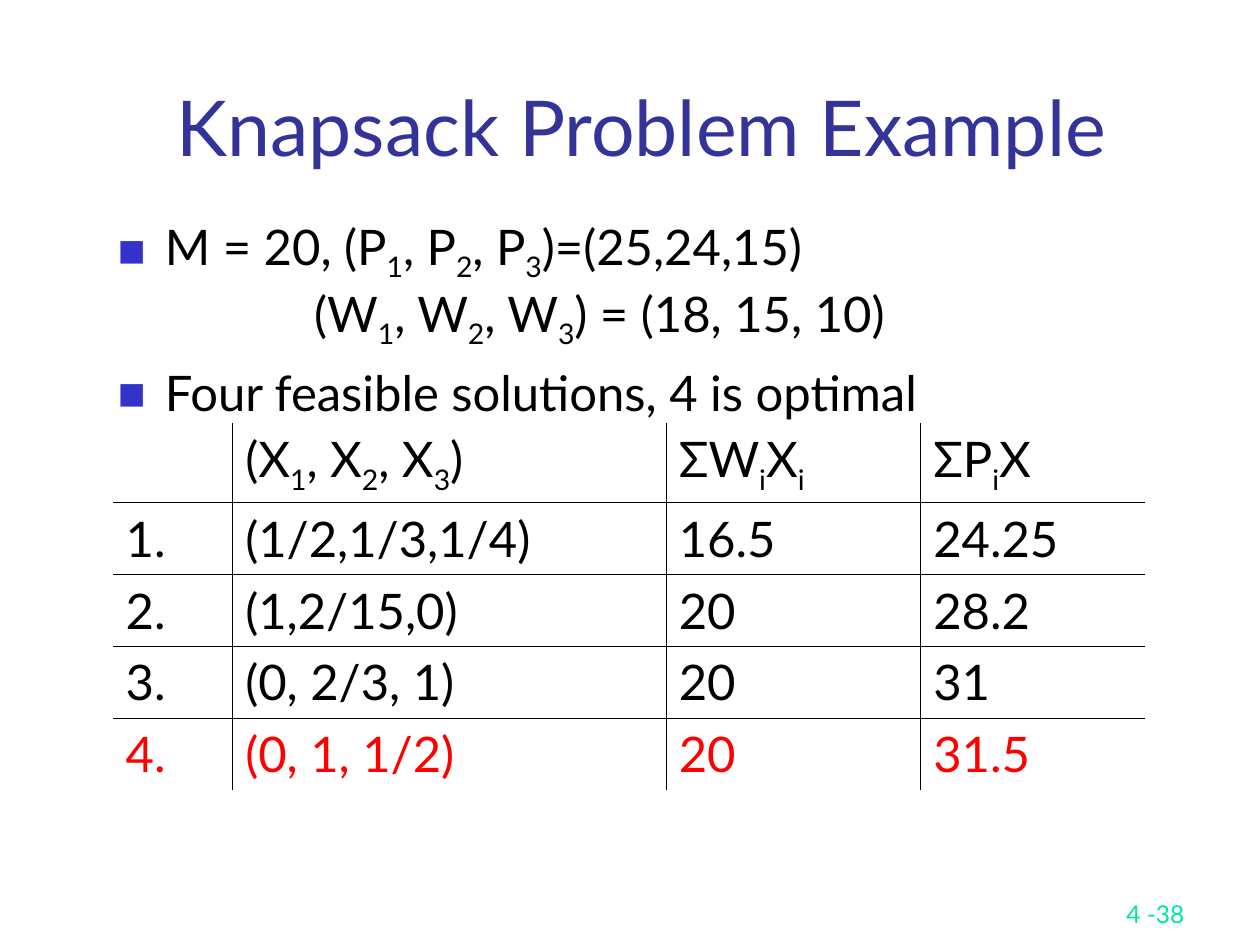
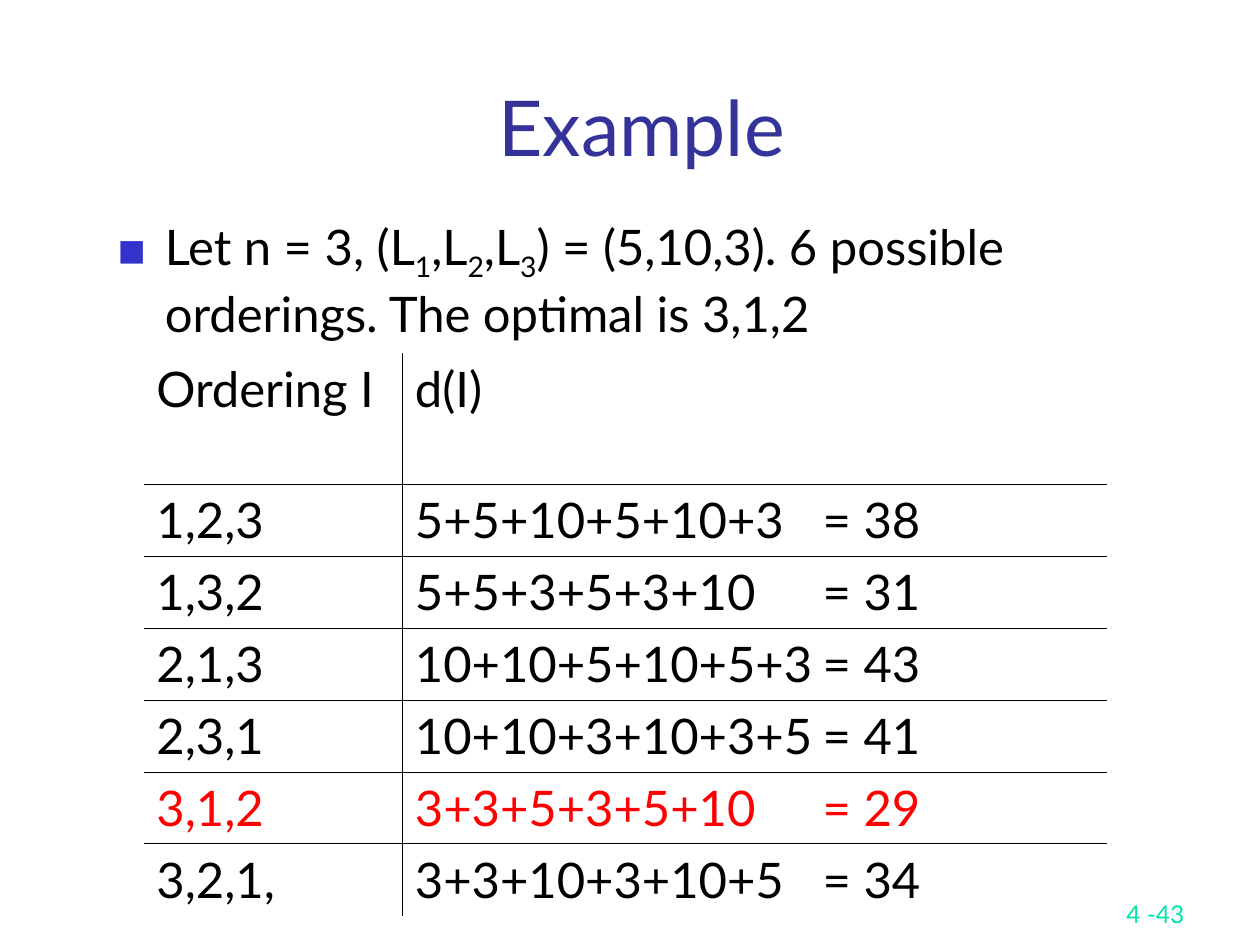
from lxml import etree
from pptx import Presentation
from pptx.dml.color import RGBColor
from pptx.enum.text import MSO_ANCHOR, MSO_AUTO_SIZE, PP_ALIGN
from pptx.oxml.ns import qn
from pptx.util import Cm, Pt

BOTTOM, TOP = MSO_ANCHOR.BOTTOM, MSO_ANCHOR.TOP
CENTER, LEFT, RIGHT = PP_ALIGN.CENTER, PP_ALIGN.LEFT, PP_ALIGN.RIGHT
NO_FIT = MSO_AUTO_SIZE.NONE

FONT = "Lato"
NAVY, BULLET_BLUE, MINT = "333399", "3333CC", "00E4A8"
BLACK, WHITE, RED = "000000", "FFFFFF", "FF0000"
TITLE_SIZE, TEXT_SIZE, NUMBER_SIZE = 44, 28, 14
PARAGRAPH_GAP = Pt(7)
BORDER_WIDTH = Pt(0.45)
BULLET_INDENT = Cm(0.95)
ROW_HEIGHT = 1.45


def rgb(color):
    return RGBColor.from_string(color)


def child(parent, tag, **attributes):
    return etree.SubElement(parent, qn(tag), {k: str(v) for k, v in attributes.items()})


class Deck:
    """Holds the shared style and the slide being built."""

    def __init__(self):
        self.prs = Presentation()
        self.prs.slide_width, self.prs.slide_height = Cm(25.4), Cm(19.05)
        self.slide = None

    def new_slide(self, title, number):
        self.slide = self.prs.slides.add_slide(self.prs.slide_layouts[1])
        # Title
        heading = self.slide.shapes.title
        paragraph = self.frame(heading, (2.12, 1.06, 21.64, 2.54), BOTTOM)
        paragraph.alignment = CENTER
        self.add_runs(paragraph, title, TITLE_SIZE, NAVY)
        # Slide number
        corner = self.slide.shapes.add_textbox(0, 0, 0, 0)
        paragraph = self.frame(corner, (18.84, 17.57, 5.29, 1.27), BOTTOM)
        paragraph.alignment = RIGHT
        self.add_runs(paragraph, number, NUMBER_SIZE, MINT)

    def frame(self, shape, place, anchor):
        """Place a text shape and return its first paragraph."""
        shape.left, shape.top, shape.width, shape.height = map(Cm, place)
        text = shape.text_frame
        text.word_wrap, text.auto_size = True, NO_FIT
        text.vertical_anchor = anchor
        return text.paragraphs[0]

    def add_runs(self, paragraph, text, size=TEXT_SIZE, color=BLACK):
        """Add runs; the character after each underscore is a subscript."""
        first, *rest = text.split("_")
        pieces = [(first, False)]
        for part in rest:
            pieces += [(part[0], True), (part[1:], False)]
        for piece, lowered in pieces:
            if not piece:
                continue
            run = paragraph.add_run()
            run.text = piece
            run.font.name, run.font.size = FONT, Pt(size)
            run.font.color.rgb = rgb(color)
            if lowered:
                run._r.get_or_add_rPr().set("baseline", "-25000")

    def bullets(self, items, width):
        """Each item is (text, indent); an indent of None means a bullet."""
        body = self.slide.placeholders[1]
        paragraph = self.frame(body, (2.12, 4.23, width, 12.91), TOP)
        for index, (text, indent) in enumerate(items):
            if index:
                paragraph = body.text_frame.add_paragraph()
            bulleted = indent is None
            paragraph.alignment = LEFT
            paragraph.space_before = PARAGRAPH_GAP if bulleted else Pt(0)
            props = paragraph._p.get_or_add_pPr()
            props.set("marL", str(BULLET_INDENT if bulleted else Cm(indent)))
            props.set("indent", str(-BULLET_INDENT if bulleted else 0))
            if bulleted:
                child(child(props, "a:buClr"), "a:srgbClr", val=BULLET_BLUE)
                child(props, "a:buSzPct", val=60000)
                child(props, "a:buFont", typeface=FONT)
                child(props, "a:buChar", char="■")
            else:
                child(props, "a:buNone")
            self.add_runs(paragraph, text)

    def grid(self, rows, left, top, widths, header_height, optimal, tab=None):
        """A table ruled on the inside only, with the optimal row in red."""
        heights = [header_height] + [ROW_HEIGHT] * (len(rows) - 1)
        table = self.slide.shapes.add_table(
            len(rows), len(widths), Cm(left), Cm(top),
            Cm(sum(widths)), Cm(sum(heights))).table
        table.first_row = table.horz_banding = False
        for column, width in zip(table.columns, widths):
            column.width = Cm(width)
        for r, (values, height) in enumerate(zip(rows, heights)):
            table.rows[r].height = Cm(height)
            for c, value in enumerate(values):
                cell = table.cell(r, c)
                self.rule(cell, {"a:lnL": c > 0, "a:lnR": c < len(widths) - 1,
                                 "a:lnT": r > 0, "a:lnB": r < len(rows) - 1})
                cell.fill.solid()
                cell.fill.fore_color.rgb = rgb(WHITE)
                paragraph = cell.text_frame.paragraphs[0]
                paragraph.space_before = PARAGRAPH_GAP
                if "\t" in value:
                    stops = child(paragraph._p.get_or_add_pPr(), "a:tabLst")
                    child(stops, "a:tab", pos=Cm(tab), algn="l")
                self.add_runs(paragraph, value, color=RED if r == optimal else BLACK)

    def rule(self, cell, sides):
        props = cell._tc.get_or_add_tcPr()
        for side, drawn in sides.items():
            line = child(props, side, w=BORDER_WIDTH)
            if drawn:
                child(child(line, "a:solidFill"), "a:srgbClr", val=BLACK)
            else:
                child(line, "a:noFill")


def knapsack(deck):
    deck.new_slide("Knapsack Problem Example", "4 -38")
    deck.bullets([
        ("M = 20, (P_1, P_2, P_3)=(25,24,15)", None),
        ("(W_1, W_2, W_3) = (18, 15, 10)", 3.96),
        ("Four feasible solutions, 4 is optimal", None),
    ], width=21.38)
    solutions = [
        ("", "(X_1, X_2, X_3)", "ΣW_iX_i", "ΣP_iX"),
        ("1.", "(1/2,1/3,1/4)", "16.5", "24.25"),
        ("2.", "(1,2/15,0)", "20", "28.2"),
        ("3.", "(0, 2/3, 1)", "20", "31"),
        ("4.", "(0, 1, 1/2)", "20", "31.5"),
    ]
    deck.grid(solutions, 2.28, 8.53, (2.41, 8.74, 5.13, 4.52),
              header_height=1.6, optimal=4)


def orderings(deck):
    deck.new_slide("Example", "4 -43")
    deck.bullets([
        ("Let n = 3, (L_1,L_2,L_3) = (5,10,3). 6 possible orderings. "
         "The optimal is 3,1,2", None),
    ], width=21.97)
    lengths = [
        ("Ordering I", "d(I)"),
        ("1,2,3", "5+5+10+5+10+3\t= 38"),
        ("1,3,2", "5+5+3+5+3+10\t= 31"),
        ("2,1,3", "10+10+5+10+5+3\t= 43"),
        ("2,3,1", "10+10+3+10+3+5\t= 41"),
        ("3,1,2", "3+3+5+3+5+10\t= 29"),
        ("3,2,1,", "3+3+10+3+10+5\t= 34"),
    ]
    deck.grid(lengths, 2.9, 7.12, (5.21, 14.2),
              header_height=2.64, optimal=5, tab=8.22)


def main():
    deck = Deck()
    knapsack(deck)
    orderings(deck)
    deck.prs.save("out.pptx")


if __name__ == "__main__":
    main()
